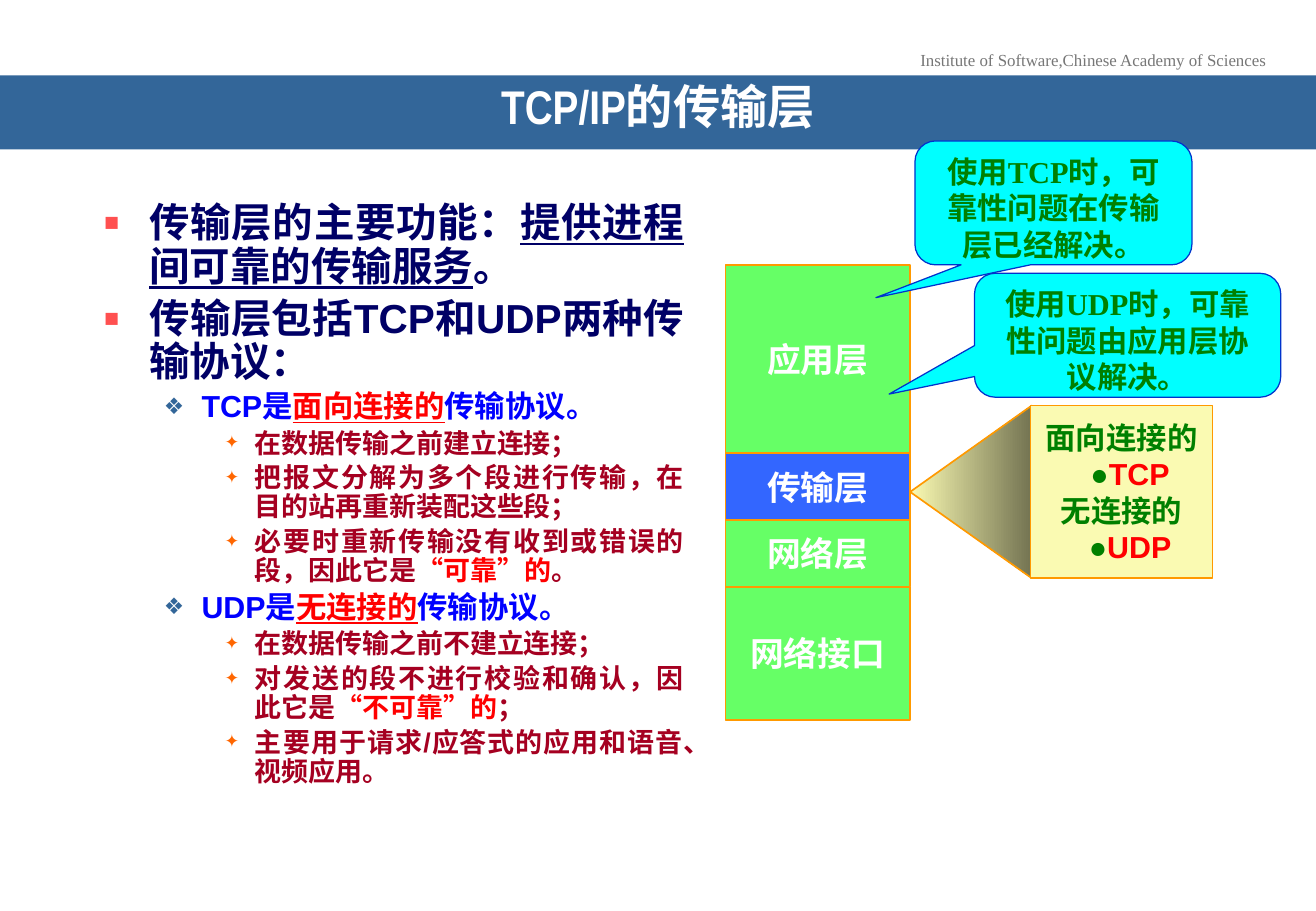
from lxml.etree import SubElement
from pptx import Presentation
from pptx.dml.color import RGBColor
from pptx.enum.lang import MSO_LANGUAGE_ID
from pptx.enum.shapes import MSO_SHAPE
from pptx.enum.text import MSO_ANCHOR, PP_ALIGN
from pptx.oxml.ns import qn
from pptx.util import Inches, Pt

WIDTH, HEIGHT = Inches(10.83), Inches(7.5)
ORANGE, GREEN, RED, WHITE = "FF9900", "008000", "FF0000", "FFFFFF"
LAYER_LEFT, LAYER_TOP, LAYER_WIDTH, LAYER_ROW = 55.12, 29.07, 14.04, 7.33

LEVELS = [
    dict(size=24, color="000066", margin=0.38, hang=0.38, bullet="▪", bullet_color="FF5050", percent=120),
    dict(size=18, color="0000FF", margin=0.81, hang=0.31, bullet="❖", bullet_color="336699", percent=75),
    dict(size=16, color="A50021", margin=1.25, hang=0.25, bullet="✦", bullet_color="FF6600", percent=65),
]
UNDERLINED = dict(underline=True)
RED_UNDERLINED = dict(color=RED, underline=True)
RED_ONLY = dict(color=RED)

OUTLINE = [
    (0, [("传输层的主要功能：", {}), ("提供进程间可靠的传输服务", UNDERLINED), ("。", {})]),
    (0, [("传输层包括TCP和UDP两种传输协议：", {})]),
    (1, [("TCP是", {}), ("面向连接的", RED_UNDERLINED), ("传输协议。", {})]),
    (2, [("在数据传输之前建立连接；", {})]),
    (2, [("把报文分解为多个段进行传输，在目的站再重新装配这些段；", {})]),
    (2, [("必要时重新传输没有收到或错误的段，因此它是", {}), ("“可靠”的", RED_ONLY), ("。", {})]),
    (1, [("UDP是", {}), ("无连接的", RED_UNDERLINED), ("传输协议。", {})]),
    (2, [("在数据传输之前不建立连接；", {})]),
    (2, [("对发送的段不进行校验和确认，因此它是", {}), ("“不可靠”的", RED_ONLY), ("；", {})]),
    (2, [("主要用于请求/应答式的应用和语音、视频应用。", {})]),
]
LAYERS = [
    ("应用层", 2.82, "66FF66"),
    ("传输层", 1, "3366FF"),
    ("网络层", 1, "66FF66"),
    ("网络接口", 2, "66FF66"),
]
CALLOUTS = [
    ("使用UDP时，可靠性问题由应用层协议解决。", (74.05, 30, 23.27, 13.6), (-0.779, 0.475, 0.167)),
    ("使用TCP时，可靠性问题在传输层已经解决。", (69.53, 15.47, 21.05, 13.6), (-0.641, 0.765, 0.167)),
]


def rgb(value):
    return RGBColor.from_string(value)


def place(left, top, width, height):
    return (round(WIDTH * left / 100), round(HEIGHT * top / 100),
            round(WIDTH * width / 100), round(HEIGHT * height / 100))


def add_run(paragraph, text, size, color, name="Arial", bold=True, underline=False):
    run = paragraph.add_run()
    run.text = text
    font = run.font
    font.size, font.name, font.bold = Pt(size), name, bold
    font.color.rgb = rgb(color)
    font.language_id = MSO_LANGUAGE_ID.SIMPLIFIED_CHINESE
    if underline:
        font.underline = True


def next_paragraph(frame, index, alignment=PP_ALIGN.CENTER):
    paragraph = frame.add_paragraph() if index else frame.paragraphs[0]
    paragraph.alignment = alignment
    return paragraph


def add_text_box(slide, box, wrap):
    frame = slide.shapes.add_textbox(*place(*box)).text_frame
    frame.word_wrap = wrap
    return frame


def add_figure(slide, kind, box, fill=None, line=None, line_width=1, anchor=MSO_ANCHOR.MIDDLE):
    shape = slide.shapes.add_shape(kind, *place(*box))
    shape.shadow.inherit = False
    if fill:
        shape.fill.solid()
        shape.fill.fore_color.rgb = rgb(fill)
    if line:
        shape.line.color.rgb = rgb(line)
        shape.line.width = Pt(line_width)
    else:
        shape.line.fill.background()
    shape.text_frame.vertical_anchor = anchor
    return shape


def add_bullet(paragraph, level):
    properties = paragraph._p.get_or_add_pPr()
    properties.set("marL", str(Inches(level["margin"])))
    properties.set("indent", str(-Inches(level["hang"])))
    color = SubElement(properties, qn("a:buClr"))
    SubElement(color, qn("a:srgbClr"), val=level["bullet_color"])
    SubElement(properties, qn("a:buSzPct"), val=str(level["percent"] * 1000))
    SubElement(properties, qn("a:buFont"), typeface="Arial")
    SubElement(properties, qn("a:buChar"), char=level["bullet"])


def add_header(slide):
    frame = add_text_box(slide, (68.88, 4.8, 28.35, 3.6), False)
    add_run(next_paragraph(frame, 0), "Institute of Software,Chinese Academy of Sciences",
            10, "777777", "Times New Roman", False)
    title = add_figure(slide, MSO_SHAPE.RECTANGLE, (0, 8.27, 100, 8.13), "336699")
    paragraph = next_paragraph(title.text_frame, 0)
    paragraph.line_spacing = 0.7
    add_run(paragraph, "TCP/IP的传输层", 28, WHITE, "Arial Narrow")


def add_outline(slide):
    frame = add_text_box(slide, (6.93, 21.6, 45.98, 72.4), True)
    for index, (depth, pieces) in enumerate(OUTLINE):
        level = LEVELS[depth]
        paragraph = next_paragraph(frame, index, PP_ALIGN.JUSTIFY)
        paragraph.level = depth
        paragraph.line_spacing = 0.9
        paragraph.space_before = Pt(level["size"] * 0.2 if index else 0)
        add_bullet(paragraph, level)
        for text, style in pieces:
            add_run(paragraph, text, **{"size": level["size"], "color": level["color"], **style})


def add_layers(slide):
    top = LAYER_TOP
    for name, rows, fill in LAYERS:
        height = rows * LAYER_ROW
        layer = add_figure(slide, MSO_SHAPE.RECTANGLE, (LAYER_LEFT, top, LAYER_WIDTH, height), fill, ORANGE)
        layer.text_frame.word_wrap = False
        add_run(next_paragraph(layer.text_frame, 0), name, 20, WHITE)
        top += height


def add_protocol_box(slide):
    pointer = add_figure(slide, MSO_SHAPE.ISOSCELES_TRIANGLE, (67.22, 47.33, 13.11, 13.33), line=ORANGE)
    pointer.rotation = 270
    pointer.fill.gradient()
    pointer.fill.gradient_angle = 0
    for stop, color in zip(pointer.fill.gradient_stops, ("FAFAB2", "747452")):
        stop.color.rgb = rgb(color)
    pointer._element.spPr.find(qn("a:gradFill")).set("rotWithShape", "0")

    box = add_figure(slide, MSO_SHAPE.RECTANGLE, (78.3, 44.53, 13.85, 18.93), "FAFAB2", ORANGE)
    for index, (kind, protocol) in enumerate([("面向连接的", "TCP"), ("无连接的", "UDP")]):
        add_run(next_paragraph(box.text_frame, index), kind, 18, GREEN)
        item = next_paragraph(box.text_frame, 1)
        item._p.get_or_add_pPr().set("marL", str(Inches(0.14)))
        add_run(item, "●", 18, GREEN)
        add_run(item, protocol, 18, RED)


def add_callouts(slide):
    for text, box, adjustments in CALLOUTS:
        callout = add_figure(slide, MSO_SHAPE.ROUNDED_RECTANGULAR_CALLOUT, box,
                             "00FFFF", "0033CC", 0.75, MSO_ANCHOR.TOP)
        for index, value in enumerate(adjustments):
            callout.adjustments[index] = value
        add_run(next_paragraph(callout.text_frame, 0), text, 18, GREEN, "Times New Roman")


def main():
    presentation = Presentation()
    presentation.slide_width, presentation.slide_height = WIDTH, HEIGHT
    slide = presentation.slides.add_slide(presentation.slide_layouts[6])
    add_header(slide)
    add_outline(slide)
    add_layers(slide)
    add_protocol_box(slide)
    add_callouts(slide)
    presentation.save("out.pptx")


if __name__ == "__main__":
    main()
